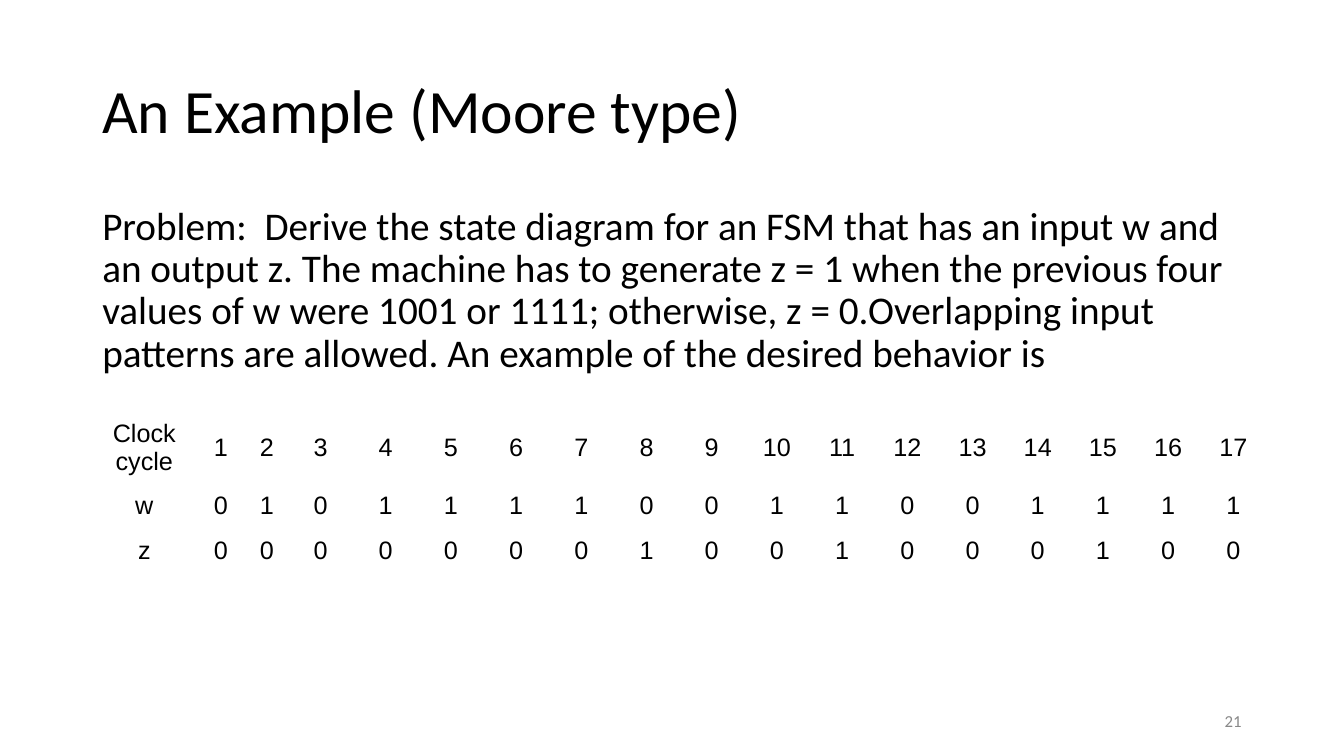
from pptx import Presentation
from pptx.dml.color import RGBColor
from pptx.enum.text import MSO_ANCHOR as Anchor, PP_ALIGN as Align
from pptx.util import Pt

BLACK = RGBColor(0x00, 0x00, 0x00)
GRAY = RGBColor(0x88, 0x88, 0x88)

MARGIN = 66
CONTENT_WIDTH = 828


def format_text(paragraph, font_name, size, color):
    for run in paragraph.runs:
        run.font.name = font_name
        run.font.size = Pt(size)
        run.font.color.rgb = color


def add_text(text, left, top, width, height, size, color, anchor):
    box = slide.shapes.add_textbox(Pt(left), Pt(top), Pt(width), Pt(height))
    frame = box.text_frame
    frame.word_wrap = True
    frame.vertical_anchor = anchor
    frame.text = text
    paragraph = frame.paragraphs[0]
    format_text(paragraph, "Calibri", size, color)
    return paragraph


prs = Presentation()
prs.slide_width = Pt(960)
prs.slide_height = Pt(540)
slide = prs.slides.add_slide(prs.slide_layouts[6])

title = add_text("An Example (Moore type)", MARGIN, 28.75, CONTENT_WIDTH, 104.4,
                 44, BLACK, Anchor.MIDDLE)
title.line_spacing = 0.9

problem = add_text(
    "Problem:  Derive the state diagram for an FSM that has an input w and "
    "an output z. The machine has to generate z = 1 when the previous four "
    "values of w were 1001 or 1111; otherwise, z = 0.Overlapping input "
    "patterns are allowed. An example of the desired behavior is",
    MARGIN, 143.75, CONTENT_WIDTH, 342.6, 28, BLACK, Anchor.TOP)
problem.line_spacing = 0.9

page_number = add_text("21", 678, 500.5, 216, 28.75, 12, GRAY, Anchor.MIDDLE)
page_number.alignment = Align.RIGHT

# Input and output values for each clock cycle
signal_rows = [
    ["Clock cycle", *range(1, 18)],
    ["w", *"01011110011001111"],
    ["z", *"00000001001000100"],
]
column_widths = [74.2, 35.3, 30.2] + [46.6] * 15
row_height = 32.4

signals = slide.shapes.add_table(
    len(signal_rows), len(column_widths), Pt(MARGIN), Pt(294.5),
    Pt(sum(column_widths)), Pt(row_height * len(signal_rows))).table
signals.first_row = False
signals.horz_banding = False

for column, width in zip(signals.columns, column_widths):
    column.width = Pt(width)

for row, values in zip(signals.rows, signal_rows):
    row.height = Pt(row_height)
    for cell, value in zip(row.cells, values):
        cell.fill.background()
        cell.vertical_anchor = Anchor.MIDDLE
        cell.text_frame.text = str(value)
        paragraph = cell.text_frame.paragraphs[0]
        paragraph.alignment = Align.CENTER
        format_text(paragraph, "Arial", 18, BLACK)

prs.save("out.pptx")
